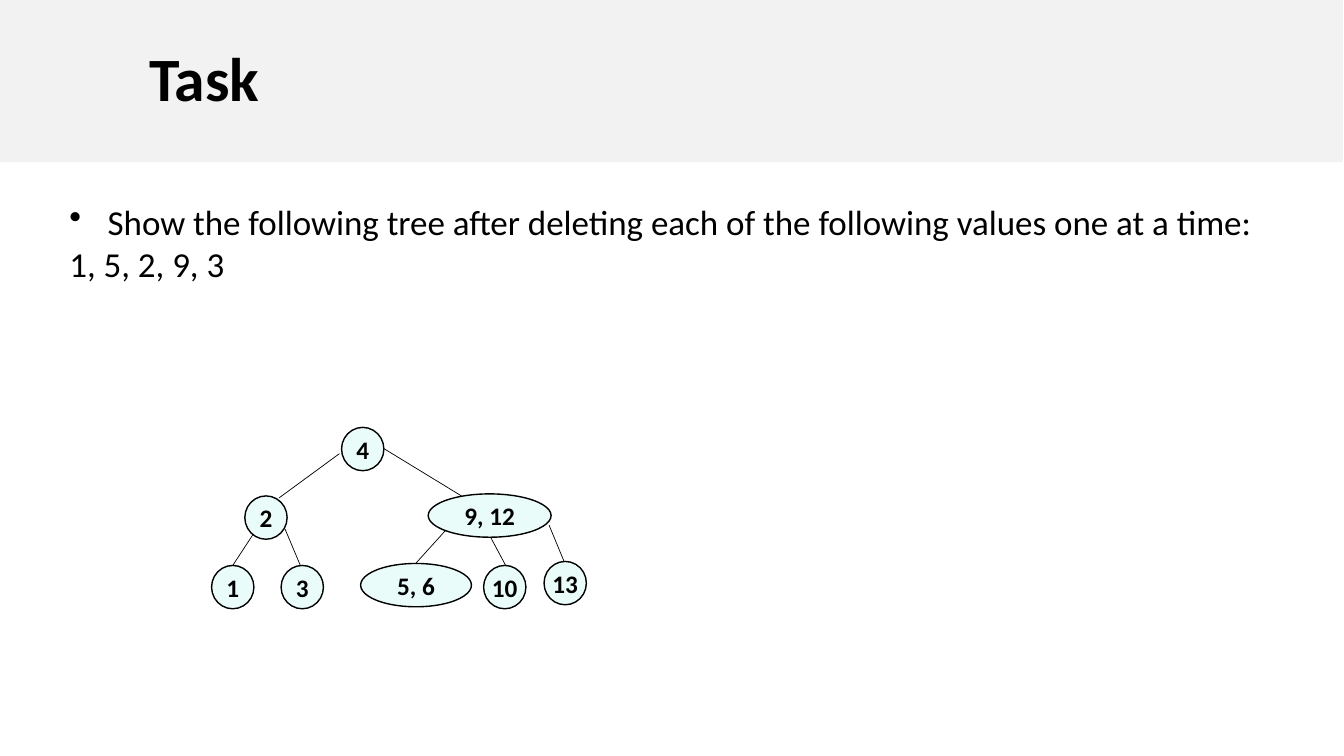
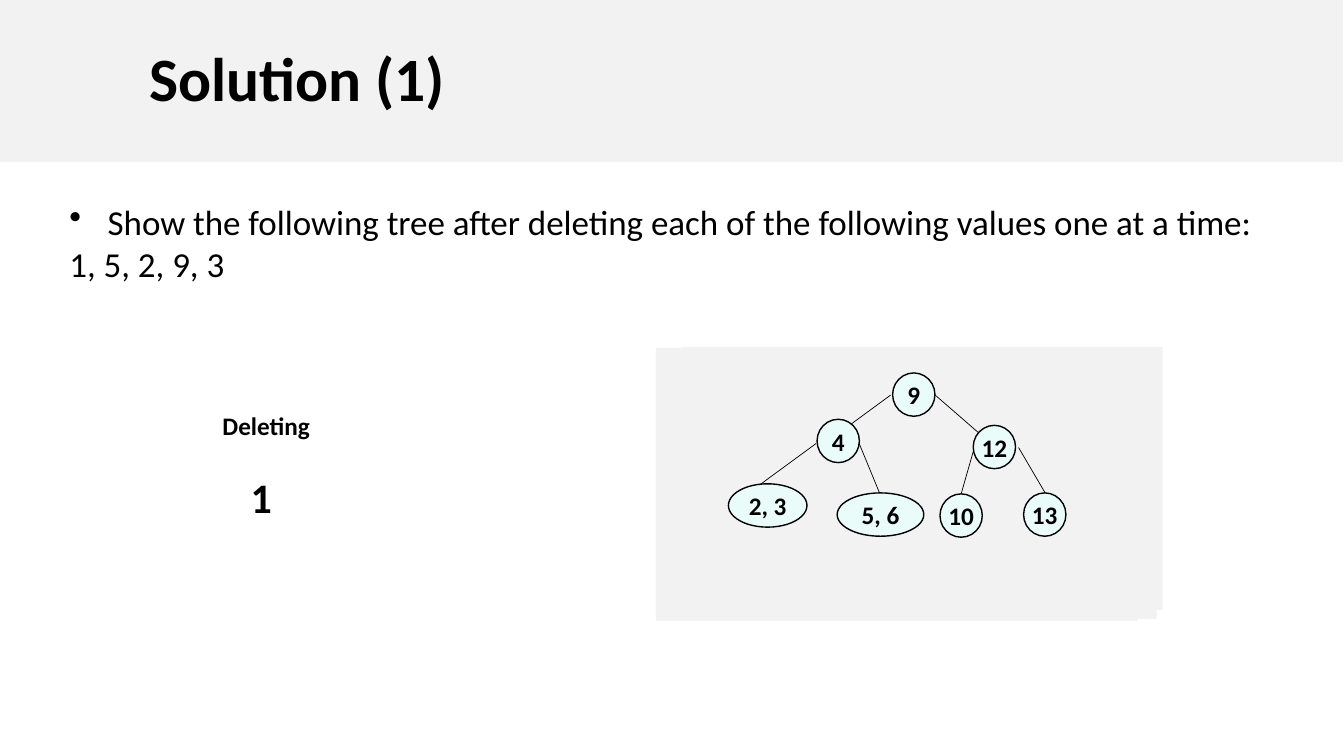
from lxml.etree import SubElement as Sub
from pptx import Presentation as Deck
from pptx.dml.color import RGBColor as RGB
from pptx.enum.shapes import MSO_CONNECTOR as LINE, MSO_SHAPE as KIND
from pptx.enum.text import MSO_ANCHOR as ANCHOR, PP_ALIGN as ALIGN
from pptx.oxml.ns import qn
from pptx.util import Inches, Pt

BLACK = RGB(0x00, 0x00, 0x00)
GREY = RGB(0xF2, 0xF2, 0xF2)
MINT = RGB(0xEA, 0xFC, 0xFA)
FONT = "Calibri"
ROUND = 0.42
TALL = 0.43


class Page:
    def __init__(self, deck, title):
        self.slide = deck.slides.add_slide(deck.slide_layouts[6])
        self.head(title)
        self.task()

    def shape(self, kind, left, top, width, height, fill):
        shape = self.slide.shapes.add_shape(
            kind, Inches(left), Inches(top), Inches(width), Inches(height))
        shape.shadow.inherit = False
        shape.fill.solid()
        shape.fill.fore_color.rgb = fill
        shape.line.fill.background()
        return shape

    def box(self, left, top, width, height):
        frame = self.slide.shapes.add_textbox(
            Inches(left), Inches(top), Inches(width), Inches(height)).text_frame
        frame.word_wrap = True
        return frame

    def label(self, para, text, size, bold=True):
        run = para.add_run()
        run.text = text
        font = run.font
        font.name, font.size, font.bold = FONT, Pt(size), bold
        font.color.rgb = BLACK

    def indent(self, para, left, first=0):
        props = para._p.get_or_add_pPr()
        props.set("marL", str(Inches(left)))
        props.set("indent", str(Inches(first)))
        return props

    def head(self, title):
        frame = self.shape(KIND.RECTANGLE, 0, 0, 13.33, 1.61, GREY).text_frame
        frame.vertical_anchor = ANCHOR.MIDDLE
        frame.margin_left = Inches(1.48)
        para = frame.paragraphs[0]
        para.alignment = ALIGN.LEFT
        para.line_spacing = 0.9
        self.label(para, title, 44)

    def task(self):
        frame = self.box(0.59, 1.94, 12.23, 0.94)
        para = frame.paragraphs[0]
        Sub(self.indent(para, 0.38, -0.38), qn("a:buChar"), char="•")
        self.label(para, "Show the following tree after deleting each of the "
                   "following values one at a time:", 25, False)
        para = frame.add_paragraph()
        self.indent(para, 0.38, -0.38)
        self.label(para, "1, 5, 2, 9, 3", 25, False)

    def edge(self, *ends):
        line = self.slide.shapes.add_connector(LINE.STRAIGHT, *map(Inches, ends))
        line.line.color.rgb = BLACK
        line.line.width = Pt(0.5)
        Sub(line._element.spPr, qn("a:effectLst"))

    def node(self, text, left, top, width=ROUND):
        oval = self.shape(KIND.OVAL, left, top, width, TALL, MINT)
        oval.line.color.rgb = BLACK
        oval.line.width = Pt(1)
        frame = oval.text_frame
        frame.word_wrap = False
        frame.vertical_anchor = ANCHOR.MIDDLE
        frame.margin_left = frame.margin_right = 0
        frame.margin_top = frame.margin_bottom = 0
        para = frame.paragraphs[0]
        para.alignment = ALIGN.CENTER
        self.label(para, text, 18)

    def tree(self, edges, nodes):
        for edge in edges:
            self.edge(*edge)
        for node in nodes:
            self.node(*node)

    def panel(self, spots):
        for left, top in spots:
            self.shape(KIND.RECTANGLE, left, top, 4.78, 2.61, GREY)

    def step(self, name, value):
        frame = self.box(2.11, 4.02, 1.3, 1.2)
        self.label(frame.paragraphs[0], name, 18)
        para = frame.add_paragraph()
        self.indent(para, 0.28)
        para.space_before = Pt(22)
        self.label(para, value, 30)


def main():
    deck = Deck()
    deck.slide_width, deck.slide_height = Inches(13.34), Inches(7.5)

    page = Page(deck, "Task")
    page.tree(
        [(3.81, 4.45, 4.58, 4.92), (2.77, 4.94, 3.37, 4.5),
         (4.47, 5.21, 4.09, 5.63), (2.31, 5.61, 2.52, 5.29),
         (3.07, 5.82, 2.83, 5.25), (4.87, 5.33, 5.03, 5.63),
         (5.69, 5.79, 5.45, 5.21)],
        [("4", 3.39, 4.24), ("2", 2.43, 4.92), ("9, 12", 4.25, 4.9, 1.22),
         ("1", 2.1, 5.61), ("3", 2.79, 5.61), ("5, 6", 3.58, 5.59, 1.1),
         ("10", 4.8, 5.61), ("13", 5.4, 5.57)])

    page = Page(deck, "Solution (1)")
    page.panel([(6.51, 3.45), (6.51, 3.55), (6.64, 3.5), (6.7, 3.53),
                (6.76, 3.44)])
    page.tree(
        [(8.24, 4.36, 8.84, 3.92), (9.79, 4.36, 9.26, 3.9),
         (7.5, 4.84, 8.1, 4.4), (8.73, 4.89, 8.52, 4.38),
         (10.38, 4.9, 10.11, 4.44), (9.54, 4.9, 9.66, 4.48)],
        [("9", 8.86, 3.7), ("4", 8.11, 4.16), ("12", 9.66, 4.22),
         ("2, 3", 7.23, 4.8, 0.78), ("5, 6", 8.31, 4.89, 0.86),
         ("10", 9.33, 4.9), ("13", 10.16, 4.89)])
    page.step("Deleting", "1")

    deck.save("out.pptx")


if __name__ == "__main__":
    main()
